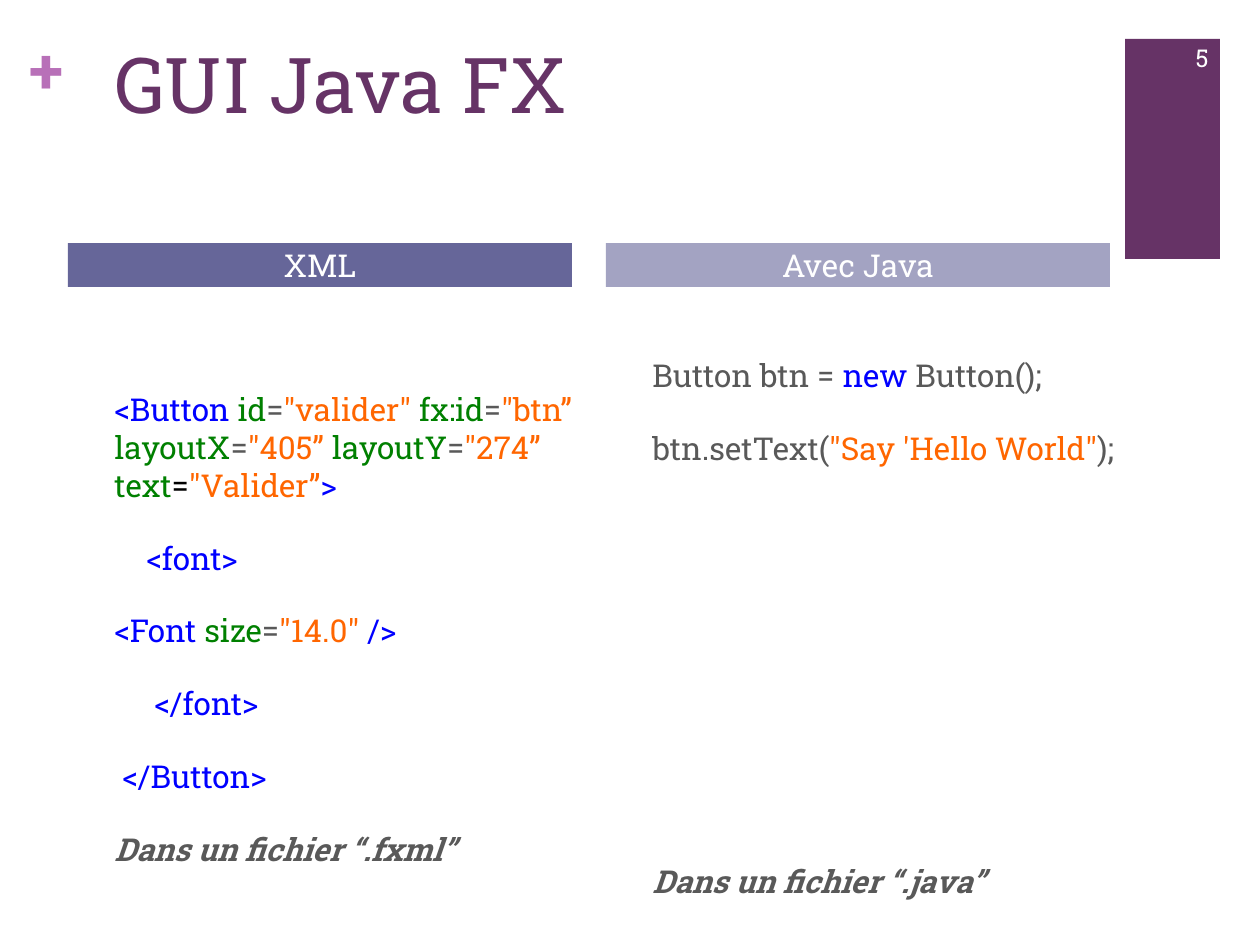
from pptx import Presentation
from pptx.dml.color import RGBColor as RGB
from pptx.enum.shapes import MSO_SHAPE as Shape
from pptx.enum.text import MSO_ANCHOR as Anchor, PP_ALIGN as Align
from pptx.util import Pt

SCALE = 914400 / 126
FONT = "Roboto Slab"
PLUM = RGB(0x66, 0x33, 0x66)
PINK = RGB(0xB8, 0x70, 0xB8)
SLATE = RGB(0x66, 0x66, 0x99)
MIST = RGB(0xA3, 0xA3, 0xC2)
WHITE = RGB(0xFF, 0xFF, 0xFF)
BLACK = RGB(0, 0, 0)
GRAY = RGB(0x59, 0x59, 0x59)
BLUE = RGB(0, 0, 0xFF)
GREEN = RGB(0, 0x80, 0)
ORANGE = RGB(0xFF, 0x66, 0)


def px(n):
    return round(n * SCALE)


def rect(slide, box, fill):
    shape = slide.shapes.add_shape(Shape.RECTANGLE, *map(px, box))
    shape.shadow.inherit = False
    shape.fill.solid()
    shape.fill.fore_color.rgb = fill
    shape.line.fill.background()
    return shape


def write(para, text, size=18, color=GRAY, bold=False, italic=False):
    run = para.add_run()
    run.text = text
    font = run.font
    font.name, font.size = FONT, Pt(size)
    font.bold, font.italic = bold, italic
    font.color.rgb = color


def frame(slide, box, anchor=Anchor.TOP):
    text = slide.shapes.add_textbox(*map(px, box)).text_frame
    text.word_wrap = True
    text.vertical_anchor = anchor
    return text


def code(slide, box, lines, note, gap=20):
    body = frame(slide, box)
    for i, (indent, parts) in enumerate(lines):
        para = body.add_paragraph() if i else body.paragraphs[0]
        if i:
            para.space_before = Pt(20)
        if indent:
            para._p.get_or_add_pPr().set("marL", str(px(indent)))
        for text, color in parts:
            write(para, text, color=color)
    last = body.add_paragraph()
    last.space_before = Pt(gap)
    write(last, note, bold=True, italic=True)


def label(slide, box, text, fill):
    bar = rect(slide, box, fill).text_frame
    bar.margin_top = bar.margin_bottom = 0
    bar.vertical_anchor = Anchor.MIDDLE
    para = bar.paragraphs[0]
    para.alignment = Align.CENTER
    write(para, text, color=WHITE)


def header(slide, box):
    x, y, w, h = box
    rect(slide, (x + w - 95, y + 8, 95, 220), PLUM)
    plus = frame(slide, (x, y, 37, 77))
    plus.margin_left = plus.margin_right = 0
    plus.margin_top = plus.margin_bottom = 0
    write(plus.paragraphs[0], "+", size=36, color=PINK, bold=True)
    title = frame(slide, (x + 72, y - 1, 890, 106))
    write(title.paragraphs[0], "GUI Java FX", size=44, color=PLUM)
    page = frame(slide, (x + w - 76, y + 2, 77, 50), Anchor.MIDDLE)
    page.paragraphs[0].alignment = Align.RIGHT
    write(page.paragraphs[0], "5", size=14, color=WHITE)


def attr(name, value, equal=GRAY):
    return [(name, GREEN), ("=", equal), (value, ORANGE)]


def xml(slide, box):
    x, y, w, h = box
    label(slide, (x, y, w, 44), "XML", SLATE)
    lines = [
        (0, [("<Button ", BLUE), *attr("id", '"valider" '),
             *attr("fx:id", '"btn” '), *attr("layoutX", '"405” '),
             *attr("layoutY", '"274” '), *attr("text", '"Valider”', BLACK),
             (">", BLUE)]),
        (32, [("<font>", BLUE)]),
        (0, [("<Font ", BLUE), *attr("size", '"14.0" '), ("/>", BLUE)]),
        (40, [("</font>", BLUE)]),
        (8, [("</Button>", BLUE)]),
    ]
    code(slide, (x + 34, y + 141, w, h - 141), lines,
         "Dans un fichier “.fxml”")


def java(slide, box):
    x, y, w, h = box
    label(slide, (x, y, w, 44), "Avec Java", MIST)
    lines = [
        (0, [("Button btn = ", GRAY), ("new", BLUE), (" Button();", GRAY)]),
        (0, [("btn.setText(", GRAY), ("\"Say 'Hello World\"", ORANGE),
             (");", GRAY)]),
    ]
    code(slide, (x + 34, y + 107, w, h - 107), lines,
         "Dans un fichier “.java”", gap=226)


def main():
    deck = Presentation()
    deck.slide_width, deck.slide_height = px(1260), px(945)
    slide = deck.slides.add_slide(deck.slide_layouts[6])
    header(slide, (30, 31, 1190, 228))
    for i, part in enumerate((xml, java)):
        part(slide, (68 + i * 538, 243, 504, 702 - i * 50))
    deck.save("out.pptx")


if __name__ == "__main__":
    main()
